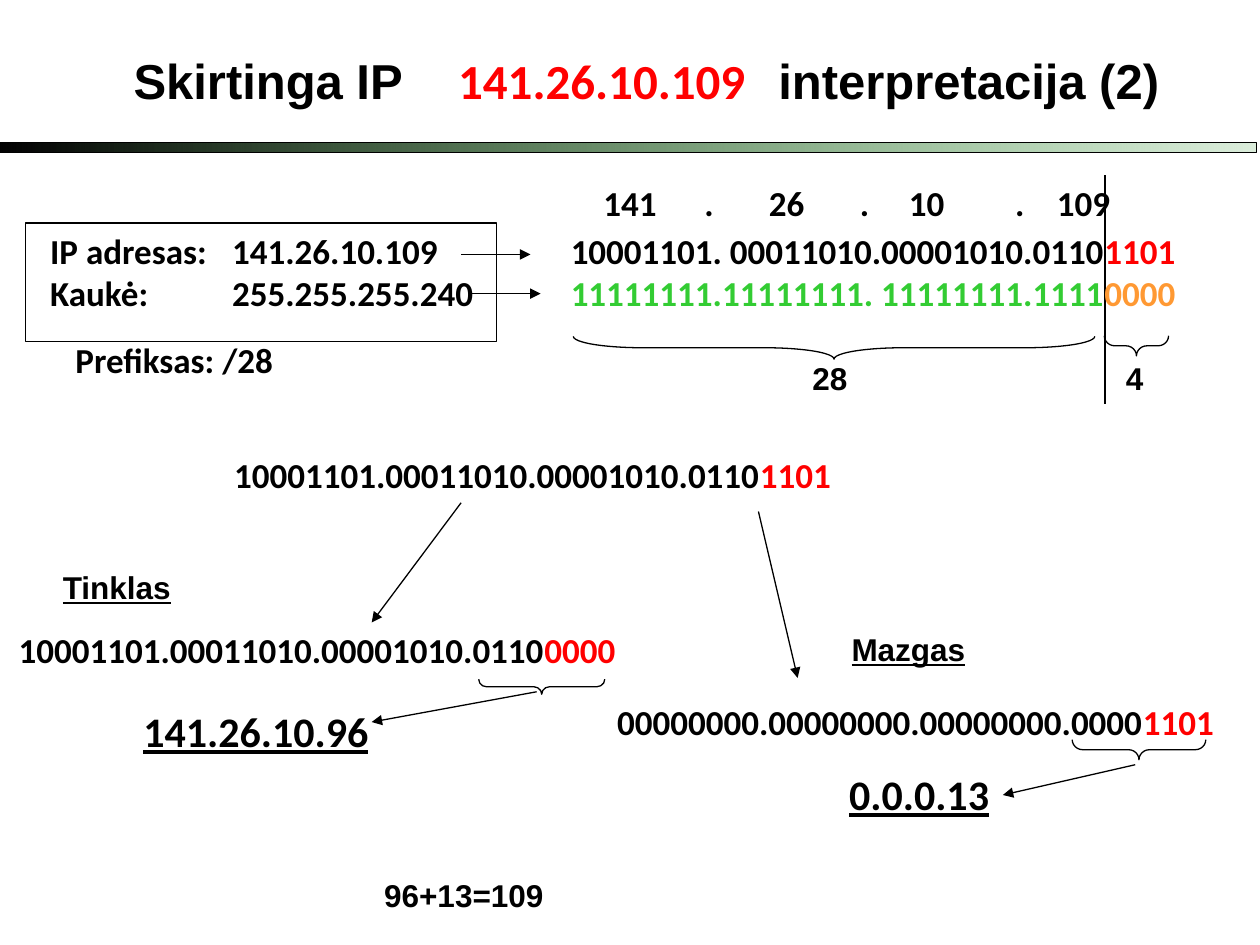
from lxml import etree
from pptx import Presentation
from pptx.dml.color import RGBColor
from pptx.enum.shapes import MSO_CONNECTOR, MSO_SHAPE
from pptx.enum.text import MSO_ANCHOR, MSO_AUTO_SIZE, PP_ALIGN
from pptx.oxml.ns import qn
from pptx.util import Pt

RECTANGLE, BRACE = MSO_SHAPE.RECTANGLE, MSO_SHAPE.LEFT_BRACE
STRAIGHT = MSO_CONNECTOR.STRAIGHT
LEFT, CENTER = PP_ALIGN.LEFT, PP_ALIGN.CENTER
TOP, NO_AUTOFIT = MSO_ANCHOR.TOP, MSO_AUTO_SIZE.NONE

THEME = {
    "heading": "Arial", "digits": "Calibri",
    "title": 28, "result": 24, "body": 20, "label": 18, "line": 0.75,
    "black": "000000", "red": "FF0000", "green": "33CC33",
    "orange": "FF9933", "bar": "008000",
}

TITLE = [("Skirtinga IP\t", "black", "heading"),
         ("141.26.10.109\t", "red", "digits"),
         ("interpretacija (2)", "black", "heading")]
TITLE_TABS = [185.5, 368.5]
TITLE_FRAME = (69.1, 25.2, 641.5, 41)

ADDRESS_ROWS = [
    [("IP adresas:\t141.26.10.109\t10001101. 00011010.00001010.0110", "black"),
     ("1101", "red")],
    [("Kaukė:\t255.255.255.240\t", "black"),
     ("11111111.11111111. 11111111.1111", "green"), ("0000", "orange")],
]
ADDRESS_TABS = [104, 297.5]
OCTETS = [[("141\t.\t26\t.\t10\t.\t109", "black")]]
OCTET_TABS = [57.7, 94.6, 146.6, 174.6, 235.4, 259.2]

BINARY_LINES = [
    ("10001101.00011010.00001010.0110", "1101", (126.7, 255.6, 467, 31.7)),
    ("10001101.00011010.00001010.0110", "0000", (3.6, 355.7, 365, 31.7)),
    ("00000000.00000000.00000000.0000", "1101", (345.6, 396.7, 365, 31.7)),
]
CAPTIONS = [
    ("Prefiksas: /28", (36, 190.1, 133.2, 31.7), "digits", "body", False),
    ("Tinklas", (28.8, 321.1, 77, 28.8), "heading", "label", True),
    ("Mazgas", (479.5, 356.4, 79.9, 28.8), "heading", "label", True),
    ("141.26.10.96", (74.9, 399.6, 144, 36), "digits", "result", True),
    ("0.0.0.13", (478.1, 435.6, 95, 36), "digits", "result", True),
    ("96+13=109", (212.4, 496.8, 106.6, 28.8), "heading", "label", False),
]
BIT_COUNTS = [("28", 445), ("4", 619.2)]

BRACES = [
    (476.6, 198.7, 298, 13, 3.035),
    (649.4, 197.6, 36.7, 11.5, 0.521),
    (309.6, 392.4, 72, 8.6, 0.521),
    (650.9, 428.4, 76.3, 11.5, 0.521),
]
ARROWS = [
    (269.3, 167.8, 308.9, 167.8),
    (263.5, 145.4, 303.1, 145.4),
    (263.5, 287.3, 212.4, 355.7),
    (433.4, 292.3, 455.8, 387.4),
    (306.7, 395.3, 212.4, 412.6),
    (648.7, 437, 573.1, 454.3),
]
DIVIDER = (631.4, 100.1, 631.4, 231.1)


def color(name):
    return RGBColor.from_string(THEME[name])


def add_span(para, text, shade="black", font="digits", size="body", underline=None):
    span = para.add_run()
    span.text = text
    span.font.name = THEME[font]
    span.font.size = Pt(THEME[size])
    span.font.bold = True
    span.font.underline = underline
    span.font.color.rgb = color(shade)


def set_tabs(para, positions):
    tabs = etree.SubElement(para._p.get_or_add_pPr(), qn("a:tabLst"))
    for position in positions:
        etree.SubElement(tabs, qn("a:tab"), pos=str(int(Pt(position))), algn="l")


def add_text(page, rows, frame, tabs=(), align=LEFT, wrap=True, inset=True, **style):
    box = page.shapes.add_textbox(*map(Pt, frame)).text_frame
    box.word_wrap = wrap
    if not inset:
        box.margin_left = box.margin_right = box.margin_top = box.margin_bottom = 0
    for index, row in enumerate(rows):
        para = box.add_paragraph() if index else box.paragraphs[0]
        para.alignment = align
        if tabs:
            set_tabs(para, tabs)
        for text, shade in row:
            add_span(para, text, shade, **style)


def add_outline(page, kind, frame):
    shape = page.shapes.add_shape(kind, *map(Pt, frame))
    shape.shadow.inherit = False
    shape.fill.background()
    shape.line.color.rgb = color("black")
    shape.line.width = Pt(THEME["line"])
    return shape


def add_brace(page, center, middle, span, depth, curve):
    frame = (center - depth / 2, middle - span / 2, depth, span)
    brace = add_outline(page, BRACE, frame)
    brace.rotation = 270
    brace.adjustments[0] = curve


def add_line(page, ends, arrow=False):
    line = page.shapes.add_connector(STRAIGHT, *map(Pt, ends))
    line.line.color.rgb = color("black")
    line.line.width = Pt(THEME["line"])
    if arrow:
        etree.SubElement(line.line._get_or_add_ln(), qn("a:tailEnd"), type="triangle")
    etree.SubElement(line._element.spPr, qn("a:effectLst"))


def add_title(page):
    title = page.shapes.title
    title.left, title.top, title.width, title.height = map(Pt, TITLE_FRAME)
    box = title.text_frame
    box.vertical_anchor = TOP
    box.auto_size = NO_AUTOFIT
    box.word_wrap = True
    para = box.paragraphs[0]
    para.alignment = LEFT
    set_tabs(para, TITLE_TABS)
    for text, shade, font in TITLE:
        add_span(para, text, shade, font, "title")


def add_bar(page):
    bar = add_outline(page, RECTANGLE, (-2, 81.4, 720, 5.8))
    bar.fill.gradient()
    bar.fill.gradient_angle = 180
    for stop, name in zip(bar.fill.gradient_stops, ("bar", "black")):
        stop.color.rgb = color(name)
    first = bar._element.spPr.find(".//" + qn("a:srgbClr"))
    etree.SubElement(first, qn("a:alpha"), val="14000")


def main():
    deck = Presentation()
    deck.slide_width, deck.slide_height = Pt(720), Pt(540)
    page = deck.slides.add_slide(deck.slide_layouts[5])
    add_title(page)
    add_line(page, DIVIDER)
    add_bar(page)
    add_text(page, ADDRESS_ROWS, (21.6, 127.4, 689, 56.2), ADDRESS_TABS)
    add_outline(page, RECTANGLE, (14.4, 127.4, 269.3, 67.7))
    add_text(page, OCTETS, (337.7, 100.1, 326.2, 55.4), OCTET_TABS)
    for network, host, frame in BINARY_LINES:
        add_text(page, [[(network, "black"), (host, "red")]], frame)
    for text, frame, font, size, underline in CAPTIONS:
        add_text(page, [[(text, "black")]], frame, wrap=False,
                 font=font, size=size, underline=underline)
    for text, left in BIT_COUNTS:
        add_text(page, [[(text, "black")]], (left, 205.2, 58.3, 21.6),
                 align=CENTER, inset=False, font="heading", size="label")
    for brace in BRACES:
        add_brace(page, *brace)
    for ends in ARROWS:
        add_line(page, ends, arrow=True)
    deck.save("out.pptx")


if __name__ == "__main__":
    main()
